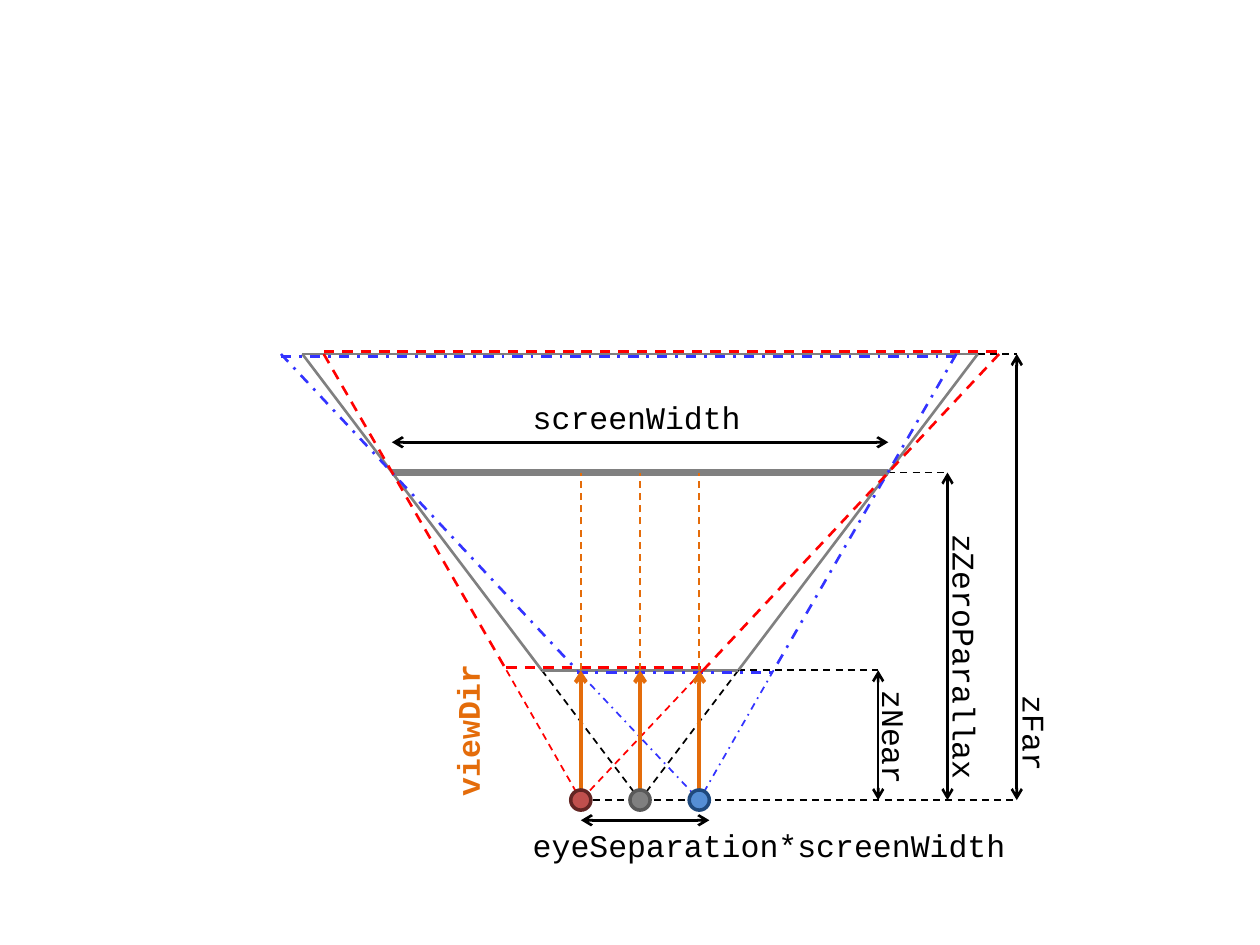
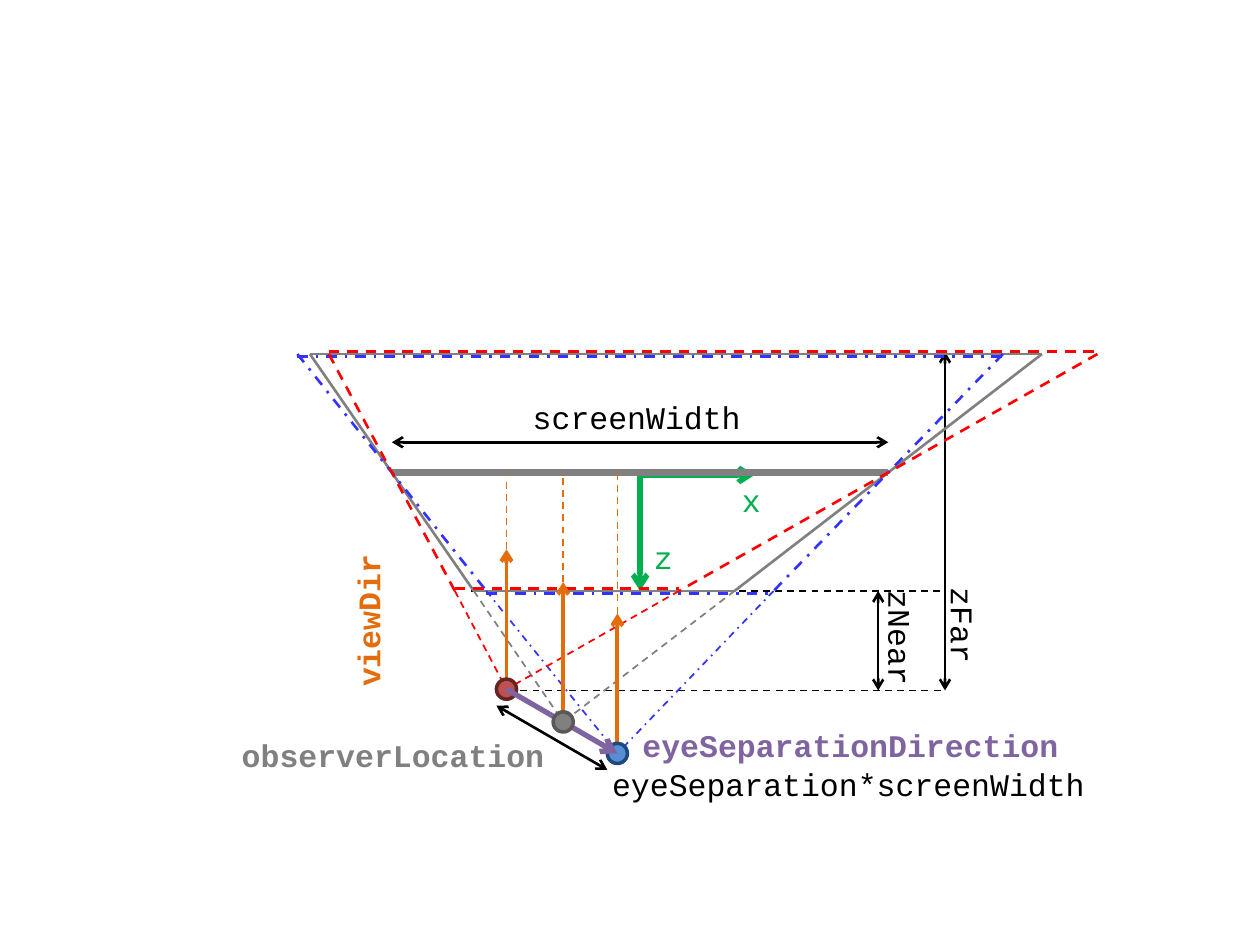
from collections import namedtuple

from lxml import etree
from pptx import Presentation
from pptx.dml.color import RGBColor
from pptx.enum.dml import MSO_LINE
from pptx.enum.shapes import MSO_CONNECTOR, MSO_SHAPE
from pptx.enum.text import MSO_AUTO_SIZE
from pptx.oxml.ns import qn
from pptx.util import Pt

PX = 9144  # 100 px to the inch
FONT = "Courier New"
STRAIGHT = MSO_CONNECTOR.STRAIGHT
OVAL = MSO_SHAPE.OVAL
DASH, DASH_DOT = MSO_LINE.DASH, MSO_LINE.DASH_DOT
FIT_SHAPE = MSO_AUTO_SIZE.SHAPE_TO_FIT_TEXT

COLORS = {
    "black": "000000",
    "gray": "808080",
    "gray_rim": "595959",
    "red": "FF0000",
    "red_dot": "C0504D",
    "red_rim": "632523",
    "blue": "3333FF",
    "blue_dot": "558ED5",
    "blue_rim": "1F497D",
    "orange": "E46C0A",
    "green": "00B050",
    "purple": "8064A2",
}

# The box of a diagram starts at the left end of the screen line.
Box = namedtuple("Box", "left top width")
Eye = namedtuple("Eye", "x y")
Look = namedtuple("Look", "color dash dot rim nudge")

SCREEN = Box(311, 375, 394)
FAR = -94
DOT_SIZE = 16
LABEL_HEIGHT = 40
LOOKS = {
    "center": Look("gray", None, "gray", "gray_rim", 0),
    "right": Look("blue", DASH_DOT, "blue_dot", "blue_rim", 2),
    "left": Look("red", DASH, "red_dot", "red_rim", -2),
}


def rgb(name):
    return RGBColor.from_string(COLORS[name])


def add_line(slide, box, start, end, color="black", weight=1.5, dash=None,
             head=False, tail=False):
    points = [round((origin + value) * PX)
              for point in (start, end)
              for origin, value in zip(box, point)]
    connector = slide.shapes.add_connector(STRAIGHT, *points)
    connector.line.color.rgb = rgb(color)
    connector.line.width = Pt(weight)
    if dash:
        connector.line.dash_style = dash
    properties = connector._element.spPr
    outline = properties.find(qn("a:ln"))
    for tag, wanted in (("a:headEnd", head), ("a:tailEnd", tail)):
        if wanted:
            etree.SubElement(outline, qn(tag)).set("type", "arrow")
    etree.SubElement(properties, qn("a:effectLst"))


def add_measure(slide, box, start, end):
    """Draw a line with an arrowhead at both ends."""
    add_line(slide, box, start, end, head=True, tail=True)


def add_label(slide, box, text, left, top, width, color="black", bold=False,
              rotation=0):
    label = slide.shapes.add_textbox((box.left + left) * PX,
                                     (box.top + top) * PX,
                                     width * PX, LABEL_HEIGHT * PX)
    label.rotation = rotation
    frame = label.text_frame
    frame.word_wrap = False
    frame.auto_size = FIT_SHAPE
    run = frame.paragraphs[0].add_run()
    run.text = text
    run.font.name = FONT
    run.font.size = Pt(18)
    run.font.bold = bold
    run.font.color.rgb = rgb(color)


def add_dot(slide, box, eye, look):
    dot = slide.shapes.add_shape(
        OVAL,
        (box.left + eye.x - DOT_SIZE // 2) * PX,
        (box.top + eye.y - DOT_SIZE // 2) * PX,
        DOT_SIZE * PX, DOT_SIZE * PX)
    dot.shadow.inherit = False
    dot.fill.solid()
    dot.fill.fore_color.rgb = rgb(look.dot)
    dot.line.color.rgb = rgb(look.rim)
    dot.line.width = Pt(2)


def sight_x(eye, corner, depth):
    """Where the ray from the eye through a screen corner meets a depth."""
    return round(eye.x + (corner - eye.x) * (eye.y - depth) / eye.y)


def draw_screen(slide, box):
    add_line(slide, box, (0, 0), (box.width, 0), "gray", 4.5)
    add_measure(slide, box, (box.width, -24), (0, -24))
    add_label(slide, box, "screenWidth", 102, -64, 186)


def draw_frustum(slide, box, eye, look, near, ray_color):
    corners = (0, box.width)
    for corner in corners:
        near_point = (sight_x(eye, corner, near), near)
        add_line(slide, box, (sight_x(eye, corner, FAR), FAR), near_point,
                 look.color, dash=look.dash)
        add_line(slide, box, near_point, eye, ray_color, 1, look.dash or DASH)
    for depth in (FAR, near):
        ends = [(sight_x(eye, corner, depth), depth + look.nudge)
                for corner in corners]
        add_line(slide, box, *ends, look.color, dash=look.dash)


def draw_eyes(slide, box, eyes, view_length, show_direction=False):
    for eye in eyes.values():
        tip = (eye.x, eye.y - view_length)
        add_line(slide, box, tip, (eye.x, 0), "orange", 1, DASH)
        add_line(slide, box, eye, tip, "orange", 2.25, tail=True)
    for side in ("right", "left"):
        add_dot(slide, box, eyes[side], LOOKS[side])
    if show_direction:
        add_line(slide, box, eyes["left"], eyes["right"], "purple", 3,
                 tail=True)
    add_dot(slide, box, eyes["center"], LOOKS["center"])


def draw_view(slide, box, eyes, near, view_length, center_ray,
              show_direction=False):
    """Draw the screen, the three frustums and the eyes."""
    draw_screen(slide, box)
    for side, look in LOOKS.items():
        ray_color = center_ray if side == "center" else look.color
        draw_frustum(slide, box, eyes[side], look, near, ray_color)
    draw_eyes(slide, box, eyes, view_length, show_direction)


def draw_depths(slide, box, base, depths, guides):
    for x, depth in depths:
        add_measure(slide, box, (x, base), (x, depth))
    for start, end, y in guides:
        add_line(slide, box, (start, y), (end, y), weight=1, dash=DASH)


def draw_axes(slide, box):
    origin = (box.width // 2, 2)
    add_line(slide, box, origin, (288, 2), "green", 3, tail=True)
    add_line(slide, box, origin, (origin[0], 94), "green", 3, tail=True)
    add_label(slide, box, "x", 268, 2, 35, "green")
    add_label(slide, box, "z", 198, 47, 35, "green")


def build_parallel_slide(slide, box):
    base, near, gap = 260, 157, 47
    middle = box.width // 2
    eyes = {side: Eye(middle + step * gap, base)
            for side, step in (("left", -1), ("center", 0), ("right", 1))}
    near_end, far_end = (sight_x(eyes["center"], box.width, depth)
                         for depth in (near, FAR))
    draw_depths(slide, box, base,
                [(386, near), (441, 0), (496, FAR)],
                [(near_end, 386, near), (box.width, 441, 0),
                 (far_end, 496, FAR), (eyes["left"].x, 496, base)])
    draw_view(slide, box, eyes, near, base - near, "black")
    add_measure(slide, box, (252, 276), (150, 276))
    add_label(slide, box, "zNear", 351, 191, 96, rotation=90)
    add_label(slide, box, "zFar", 470, 188, 81, rotation=90)
    add_label(slide, box, "zZeroParallax", 347, 127, 216, rotation=90)
    add_label(slide, box, "viewDir", -3, 184, 126, "orange", True, 270)
    add_label(slide, box, "eyeSeparation*screenWidth", 102, 276, 397)


def build_rotated_slide(slide, box):
    base, near = 173, 94
    eyes = {"left": Eye(91, 172), "center": Eye(136, 198),
            "right": Eye(179, 223)}
    draw_depths(slide, box, base,
                [(386, near), (439, FAR - 2)],
                [(63, 439, near), (102, 439, base)])
    draw_axes(slide, box)
    draw_view(slide, box, eyes, near, 111, "gray", show_direction=True)
    add_measure(slide, box, (83, 185), (171, 236))
    add_label(slide, box, "zNear", 356, 112, 96, rotation=90)
    add_label(slide, box, "zFar", 413, 102, 81, rotation=90)
    add_label(slide, box, "viewDir", -82, 97, 126, "orange", True, 270)
    add_label(slide, box, "eyeSeparation*screenWidth", 165, 227, 397)
    add_label(slide, box, "eyeSeparationDirection", 189, 196, 352, "purple",
              True)
    add_label(slide, box, "observerLocation", -129, 204, 261, "gray", True)


def main():
    presentation = Presentation()
    presentation.slide_width = 1000 * PX
    presentation.slide_height = 750 * PX
    blank = presentation.slide_layouts[6]
    for build in (build_parallel_slide, build_rotated_slide):
        build(presentation.slides.add_slide(blank), SCREEN)
    presentation.save("out.pptx")


if __name__ == "__main__":
    main()
